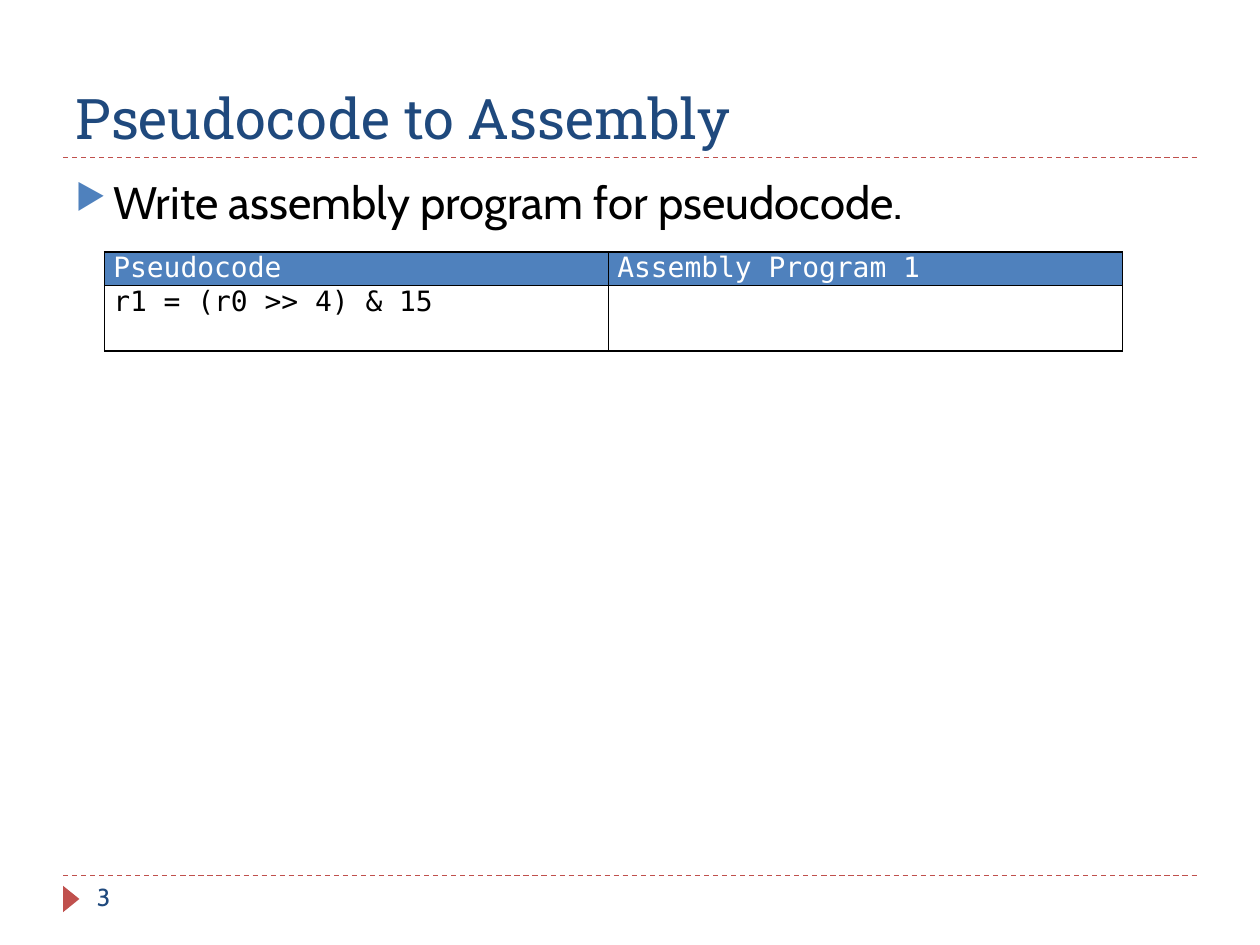
"""Build the slide "Pseudocode to Assembly" with its code table."""
from lxml.etree import SubElement
from pptx import Presentation
from pptx.dml.color import RGBColor
from pptx.enum.dml import MSO_LINE
from pptx.enum.shapes import MSO_CONNECTOR, MSO_SHAPE
from pptx.enum.text import MSO_ANCHOR, PP_ALIGN
from pptx.oxml.ns import qn
from pptx.util import Inches, Pt

TITLE = "Pseudocode to Assembly"
BULLET = "Write assembly program for pseudocode."
PAGE = "3"
ROWS = [("Pseudocode", "Assembly Program 1"), ("r1 = (r0 >> 4) & 15", "")]
COL_WIDTHS = (4, 4.08)
ROW_HEIGHTS = (0.26, 0.52)
RULES_Y = (1.25, 6.95)

NAVY = RGBColor(0x1F, 0x49, 0x7D)
BLUE = RGBColor(0x4F, 0x81, 0xBD)
RED = RGBColor(0xC0, 0x50, 0x4D)
BLACK = RGBColor(0, 0, 0)
WHITE = RGBColor(0xFF, 0xFF, 0xFF)


def style(p, name, size, color):
    for r in p.runs:
        r.font.name, r.font.size = name, Pt(size)
        r.font.color.rgb = color


def place(sp, left, top, width, height):
    sp.left, sp.top = Inches(left), Inches(top)
    sp.width, sp.height = Inches(width), Inches(height)


def add_rule(s, y):
    line = s.shapes.add_connector(
        MSO_CONNECTOR.STRAIGHT, Inches(0.5), Inches(y), Inches(9.5), Inches(y))
    line.line.color.rgb = RED
    line.line.width = Pt(0.75)
    line.line.dash_style = MSO_LINE.DASH
    SubElement(line._element.spPr, qn("a:effectLst"))


def add_text(s, text, box, size, color):
    sp = s.shapes.add_textbox(*map(Inches, box))
    tf = sp.text_frame
    tf.word_wrap = True
    tf.text = text
    style(tf.paragraphs[0], "Cabin", size, color)
    return tf.paragraphs[0]


def add_bullet(p, char, color, percent, indent):
    pPr = p._p.get_or_add_pPr()
    pPr.set("marL", str(Inches(indent)))
    pPr.set("indent", str(-Inches(indent)))
    clr = SubElement(pPr, qn("a:buClr"))
    SubElement(clr, qn("a:srgbClr"), val=str(color))
    SubElement(pPr, qn("a:buSzPct"), val=str(percent * 1000))
    SubElement(pPr, qn("a:buChar"), char=char)


def add_borders(cell, color, width):
    tcPr = cell._tc.get_or_add_tcPr()
    for i, side in enumerate(("lnL", "lnR", "lnT", "lnB")):
        ln = SubElement(tcPr, qn(f"a:{side}"), w=str(Pt(width)))
        fill = SubElement(ln, qn("a:solidFill"))
        SubElement(fill, qn("a:srgbClr"), val=str(color))
        tcPr.insert(i, ln)


def add_code_table(s):
    frame = s.shapes.add_table(
        len(ROWS), len(COL_WIDTHS), Inches(0.83), Inches(2),
        Inches(sum(COL_WIDTHS)), Inches(sum(ROW_HEIGHTS)))
    table = frame.table
    for col, width in zip(table.columns, COL_WIDTHS):
        col.width = Inches(width)
    for row, height, texts in zip(table.rows, ROW_HEIGHTS, ROWS):
        row.height = Inches(height)
        header = texts == ROWS[0]
        for cell, text in zip(row.cells, texts):
            cell.margin_left = cell.margin_right = Inches(0.07)
            cell.margin_top = cell.margin_bottom = 0
            cell.text = text
            p = cell.text_frame.paragraphs[0]
            style(p, "DejaVu Sans Mono", 16, WHITE if header else BLACK)
            if header:
                p.alignment = PP_ALIGN.JUSTIFY
                cell.fill.solid()
                cell.fill.fore_color.rgb = BLUE
            else:
                cell.fill.background()
            add_borders(cell, BLACK, 1)


def main():
    prs = Presentation()
    prs.slide_width, prs.slide_height = Inches(10), Inches(7.5)
    s = prs.slides.add_slide(prs.slide_layouts[5])

    for y in RULES_Y:
        add_rule(s, y)
    marker = s.shapes.add_shape(MSO_SHAPE.ISOSCELES_TRIANGLE, 0, 0, 0, 0)
    place(marker, 0.46, 7.07, 0.21, 0.13)
    marker.rotation = 90
    marker.shadow.inherit = False
    marker.fill.solid()
    marker.fill.fore_color.rgb = RED
    marker.line.fill.background()

    title = s.shapes.title
    place(title, 0.5, 0.17, 9, 1.08)
    tf = title.text_frame
    tf.text = TITLE
    tf.vertical_anchor = MSO_ANCHOR.BOTTOM
    tf.paragraphs[0].alignment = PP_ALIGN.LEFT
    style(tf.paragraphs[0], "Roboto Slab", 32, NAVY)

    add_text(s, PAGE, (0.67, 6.95, 2.17, 0.4), 14, NAVY)
    p = add_text(s, BULLET, (0.5, 1.33, 9, 0.67), 26, BLACK)
    add_bullet(p, "▶", BLUE, 76, 0.3)
    add_code_table(s)
    prs.save("out.pptx")


if __name__ == "__main__":
    main()
